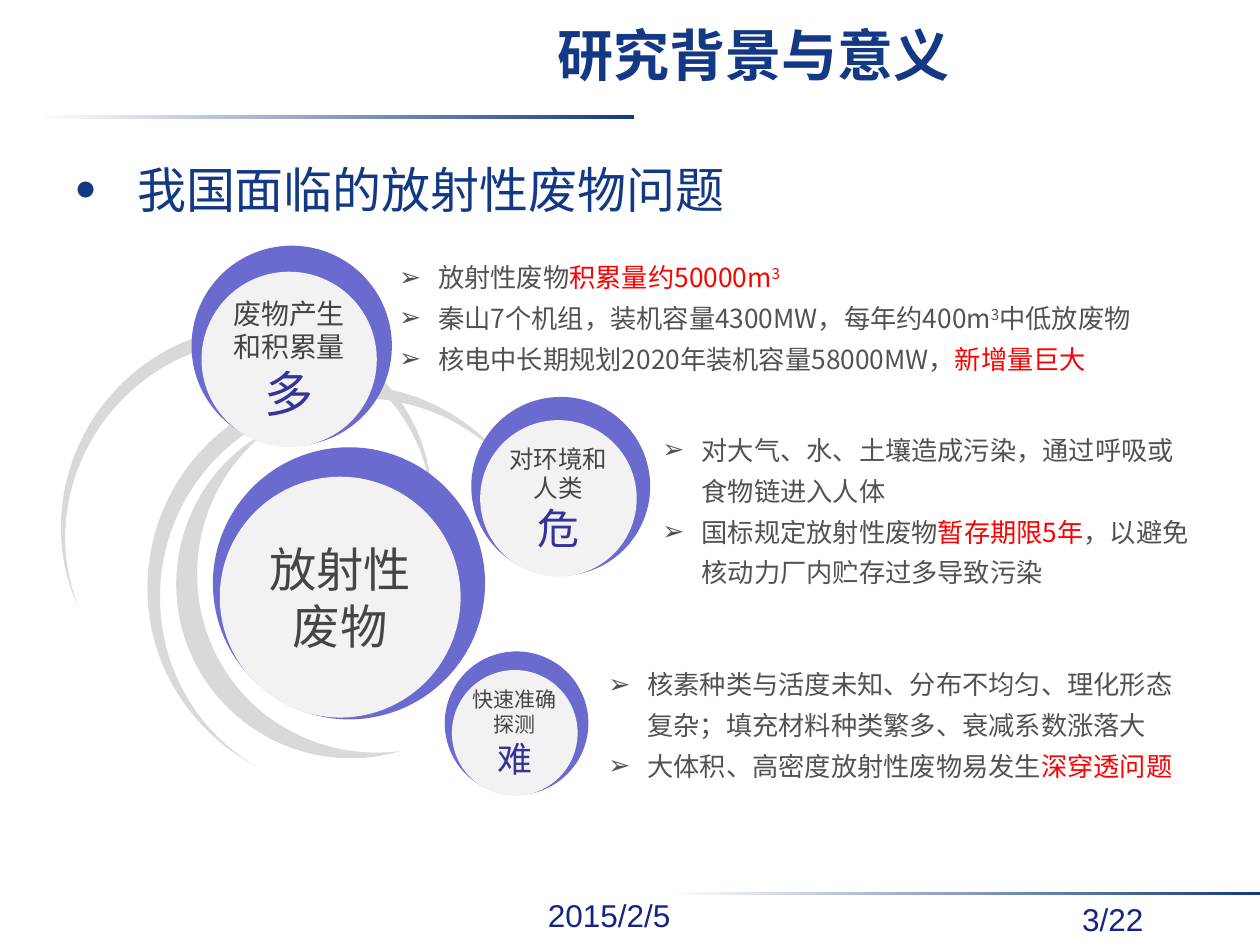
from dataclasses import dataclass
from math import cos, radians, sin
from typing import NamedTuple

from lxml import etree
from pptx import Presentation
from pptx.dml.color import RGBColor
from pptx.enum.shapes import MSO_SHAPE
from pptx.enum.text import MSO_ANCHOR, PP_ALIGN
from pptx.oxml.ns import qn
from pptx.util import Emu, Inches, Pt

OVAL, RECT = MSO_SHAPE.OVAL, MSO_SHAPE.RECTANGLE
TOP, MID = MSO_ANCHOR.TOP, MSO_ANCHOR.MIDDLE
LEFT, CENTER = PP_ALIGN.LEFT, PP_ALIGN.CENTER
COLS, ROWS = 100, 75
CELL = Inches(0.1)


@dataclass(frozen=True)
class Theme:
    navy: str = "133984"
    foot: str = "132584"
    ring: str = "6B6BCF"
    disc: str = "F2F2F2"
    arc: str = "D9D9D9"
    label: str = "454545"
    key: str = "333399"
    body: str = "525252"
    alert: str = "FF0000"
    white: str = "FFFFFF"
    latin: str = "Arial"
    han: str = "Noto Sans CJK SC"
    title: int = 32
    head: int = 28
    note: int = 15
    small: int = 18


T = Theme()


class Box(NamedTuple):
    col: float
    row: float
    wide: float
    high: float


class Run(NamedTuple):
    text: str
    color: str = T.body
    size: float = T.note
    font: str = T.han
    bold: bool = False
    sup: bool = False


class Mark(NamedTuple):
    char: str
    indent: float
    lead: float
    scale: int = 100


class Arc(NamedTuple):
    turn: float
    mid: tuple[float, float]
    knots: list[tuple[float, float]]


class Disc(NamedTuple):
    col: float
    row: float
    size: float
    lines: list[Run]
    inset: float = 0
    ratio: float = 0.875
    right: float = 0.05
    down: float = 0.13


class Note(NamedTuple):
    box: Box
    items: list[list[Run]]


ARROW = Mark("➢", 3.1, 1.3)
DOT = Mark("•", 4.9, 1.1, 120)

ARCS = [
    Arc(34.8, (18.85, 39.45), [
        (28.3, 28.4), (32.2, 31.1), (34.3, 35.4), (34.3, 40), (34, 35.9), (32, 32),
        (28.4, 29.5), (21.9, 25), (12.8, 26.9), (8, 33.8), (4.9, 38.3), (4.4, 43.8),
        (6.3, 48.3), (4, 43.6), (4.4, 37.6), (7.7, 32.8), (12.6, 25.8),
        (21.8, 23.9), (28.3, 28.4)]),
    Arc(326.2, (22.35, 49.6), [
        (20.1, 34.9), (20.4, 34.6), (20.8, 34.5), (21.1, 34.3), (15.3, 38.9),
        (13.9, 47.2), (18, 53.4), (21.1, 58.1), (26.6, 60.3), (31.8, 59.6),
        (26.1, 61.3), (19.8, 59.2), (16.3, 54), (12.1, 47.7), (13.8, 39.1),
        (20.1, 34.9)]),
    Arc(0, (26.1, 45.7), [
        (27.8, 30.6), (33, 30.6), (37.6, 33.2), (40.5, 37.1), (37.6, 33.7),
        (33.3, 31.6), (28.5, 31.6), (19.8, 31.6), (12.7, 38.6), (12.7, 47.4),
        (12.7, 53.1), (15.7, 58.1), (20.3, 60.8), (15.2, 58.1), (11.7, 52.8),
        (11.7, 46.7), (11.7, 37.8), (18.9, 30.6), (27.8, 30.6)]),
]

DISCS = [
    Disc(16.9, 35.5, 21.6, [Run("放射性废物", T.label, 27)], 1, 0.885, 0.025, 0.108),
    Disc(15.2, 19.5, 15.9, [Run("废物产生和积累量", T.label, 16), Run("多", T.key, 28)]),
    Disc(37.4, 31.5, 14.2, [Run("对环境和人类", T.label, 14), Run("危", T.key, 24)]),
    Disc(35.3, 51.7, 11.4, [Run("快速准确探测", T.label, 12), Run("难", T.key, 20)]),
]

NOTES = [
    Note(Box(30.7, 19.5, 64.7, 10.9), [
        [Run("放射性废物"), Run("积累量约50000m", T.alert),
         Run("3", T.alert, sup=True)],
        [Run("秦山7个机组，装机容量4300MW，每年约400m"), Run("3", sup=True),
         Run("中低放废物")],
        [Run("核电中长期规划2020年装机容量58000MW，"), Run("新增量巨大", T.alert)],
    ]),
    Note(Box(51.6, 33.2, 44.3, 14.1), [
        [Run("对大气、水、土壤造成污染，通过呼吸或食物链进入人体")],
        [Run("国标规定放射性废物"), Run("暂存期限5年", T.alert),
         Run("，以避免核动力厂内贮存过多导致污染")],
    ]),
    Note(Box(47.3, 51.8, 48.1, 10.9), [
        [Run("核素种类与活度未知、分布不均匀、理化形态复杂；填充材料种类繁多、衰减系数涨落大")],
        [Run("大体积、高密度放射性废物易发生"), Run("深穿透问题", T.alert)],
    ]),
]


def cells(count: float) -> Emu:
    return Emu(round(count * CELL))


def place(box: Box) -> list[Emu]:
    return [cells(n) for n in box]


def tint(shape, color: str) -> None:
    shape.shadow.inherit = False
    shape.fill.solid()
    shape.fill.fore_color.rgb = RGBColor.from_string(color)
    shape.line.fill.background()


def add_run(para, run: Run) -> None:
    item = para.add_run()
    item.text = run.text
    font = item.font
    font.size, font.name, font.bold = Pt(run.size), run.font, run.bold
    font.color.rgb = RGBColor.from_string(run.color)
    props = font._element
    etree.SubElement(props, qn("a:ea")).set("typeface", T.han)
    if run.sup:
        props.set("baseline", "30000")


def add_mark(para, mark: Mark) -> None:
    para.line_spacing = mark.lead
    props = para._p.get_or_add_pPr()
    props.set("marL", str(cells(mark.indent)))
    props.set("indent", str(-cells(mark.indent)))
    etree.SubElement(props, qn("a:buSzPct")).set("val", str(mark.scale * 1000))
    etree.SubElement(props, qn("a:buFont")).set("typeface", T.latin)
    etree.SubElement(props, qn("a:buChar")).set("char", mark.char)


def write(frame, items: list[list[Run]], align=LEFT, mark: Mark | None = None,
          anchor=TOP) -> None:
    frame.word_wrap, frame.vertical_anchor = True, anchor
    for i, runs in enumerate(items):
        para = frame.add_paragraph() if i else frame.paragraphs[0]
        para.alignment = align
        if mark:
            add_mark(para, mark)
        for run in runs:
            add_run(para, run)


def add_text(slide, box: Box, items: list[list[Run]], mark: Mark | None = None) -> None:
    write(slide.shapes.add_textbox(*place(box)).text_frame, items, mark=mark)


def add_rule(slide, box: Box) -> None:
    bar = slide.shapes.add_shape(RECT, *place(box))
    tint(bar, T.navy)
    bar.fill.gradient()
    bar.fill.gradient_angle = 0
    for stop, color, spot in zip(bar.fill.gradient_stops, (T.white, T.navy), (0, 1)):
        stop.color.rgb = RGBColor.from_string(color)
        stop.position = spot


def add_arc(slide, arc: Arc) -> None:
    (mx, my), turn = arc.mid, radians(arc.turn)
    dots = [(cells(mx + (x - mx) * cos(turn) + (y - my) * sin(turn)),
             cells(my + (y - my) * cos(turn) - (x - mx) * sin(turn)))
            for x, y in arc.knots]
    pen = slide.shapes.build_freeform(*dots[0])
    pen.add_line_segments(dots[1:], close=True)
    shape = pen.convert_to_shape()
    tint(shape, T.arc)
    shape.rotation = arc.turn
    lines = list(shape._element.iter(qn("a:lnTo")))
    for i in range(0, len(arc.knots) - 1, 3):
        bend = etree.Element(qn("a:cubicBezTo"))
        lines[i].addprevious(bend)
        for line in lines[i:i + 3]:
            bend.append(line[0])
            line.getparent().remove(line)


def add_disc(slide, disc: Disc) -> None:
    col, row, size = disc.col, disc.row, disc.size
    tint(slide.shapes.add_shape(OVAL, *place(Box(col, row, size, size))), T.ring)
    core = size * disc.ratio
    box = Box(col + size * disc.right, row + size * disc.down, core, core)
    face = slide.shapes.add_shape(OVAL, *place(box))
    tint(face, T.disc)
    frame = face.text_frame
    frame.margin_left = frame.margin_right = cells(disc.inset)
    frame.margin_top = frame.margin_bottom = cells(disc.inset / 2)
    write(frame, [[run] for run in disc.lines], CENTER, anchor=MID)


def main() -> None:
    deck = Presentation()
    deck.slide_width, deck.slide_height = cells(COLS), cells(ROWS)
    slide = deck.slides.add_slide(deck.slide_layouts[5])
    title = slide.shapes.title
    title.left, title.top, title.width, title.height = place(Box(25, 1.5, 69.7, 7.5))
    title.text_frame.margin_top = cells(0.1)
    write(title.text_frame, [[Run("研究背景与意义", T.navy, T.title, T.latin, True)]], CENTER)
    for col, row in ((3.1, 9.14), (52.8, 70.77)):
        add_rule(slide, Box(col, row, 47.2, 0.3))
    for text, box in (("2015/2/5", Box(42.5, 70.6, 14.9, 4)),
                      ("3/22", Box(84.9, 70.9, 8.6, 4))):
        add_text(slide, box, [[Run(text, T.foot, T.small, T.latin)]])
    for arc in ARCS:
        add_arc(slide, arc)
    for disc in DISCS:
        add_disc(slide, disc)
    for note in NOTES:
        add_text(slide, note.box, note.items, ARROW)
    add_text(slide, Box(5, 11.7, 90, 56.2),
             [[Run("我国面临的放射性废物问题", T.navy, T.head, T.latin)]], DOT)
    deck.save("out.pptx")


if __name__ == "__main__":
    main()
